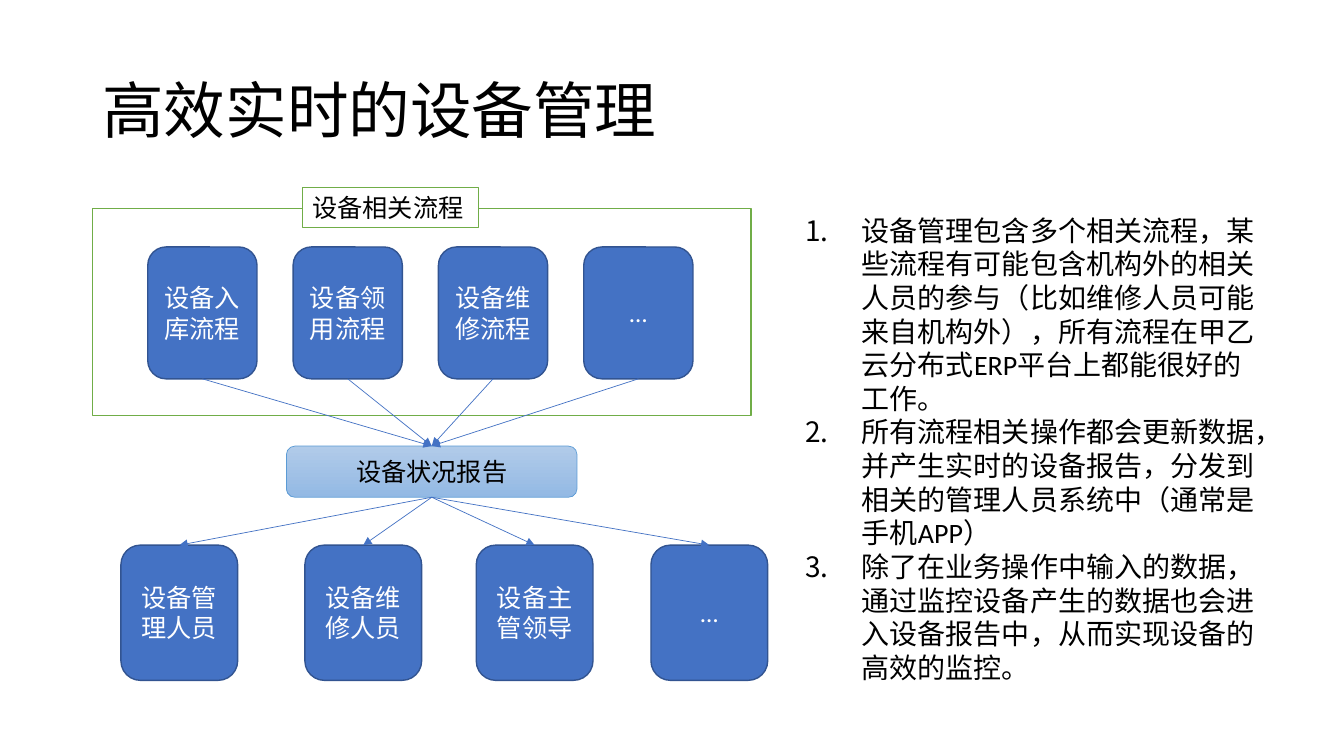
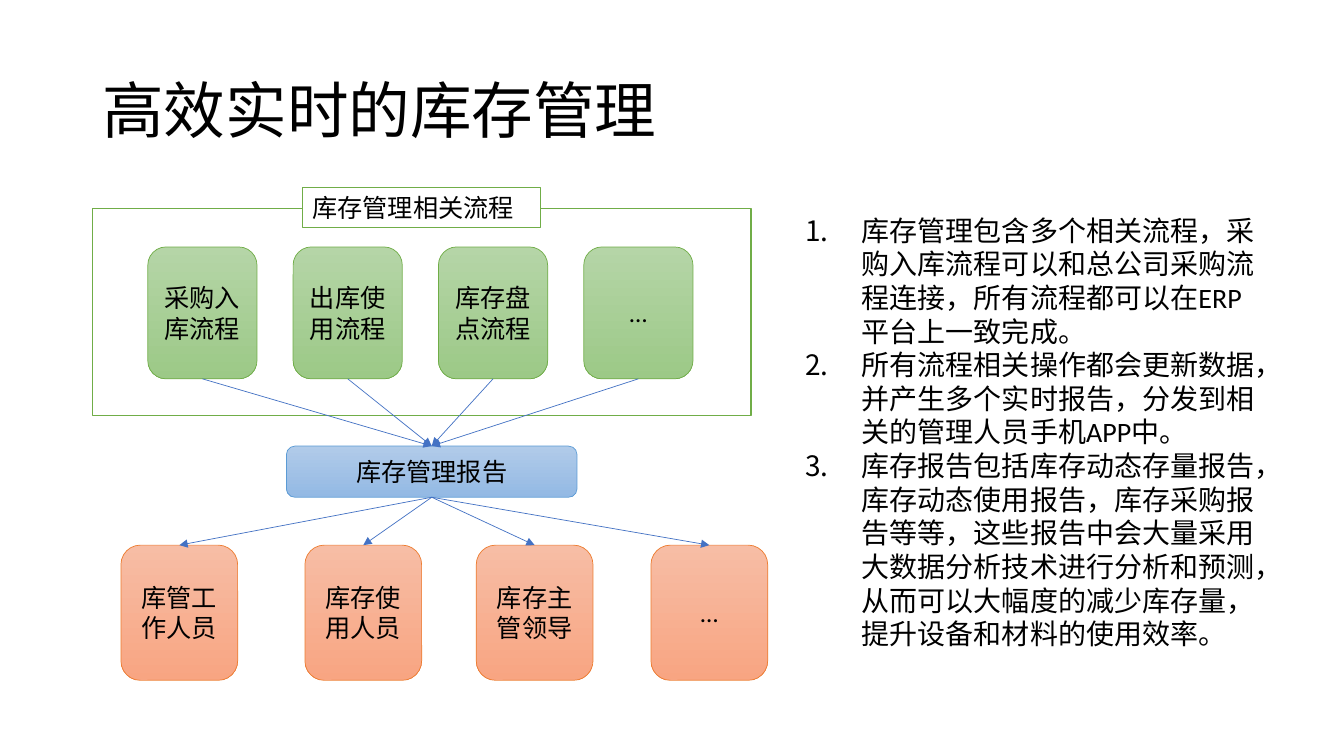
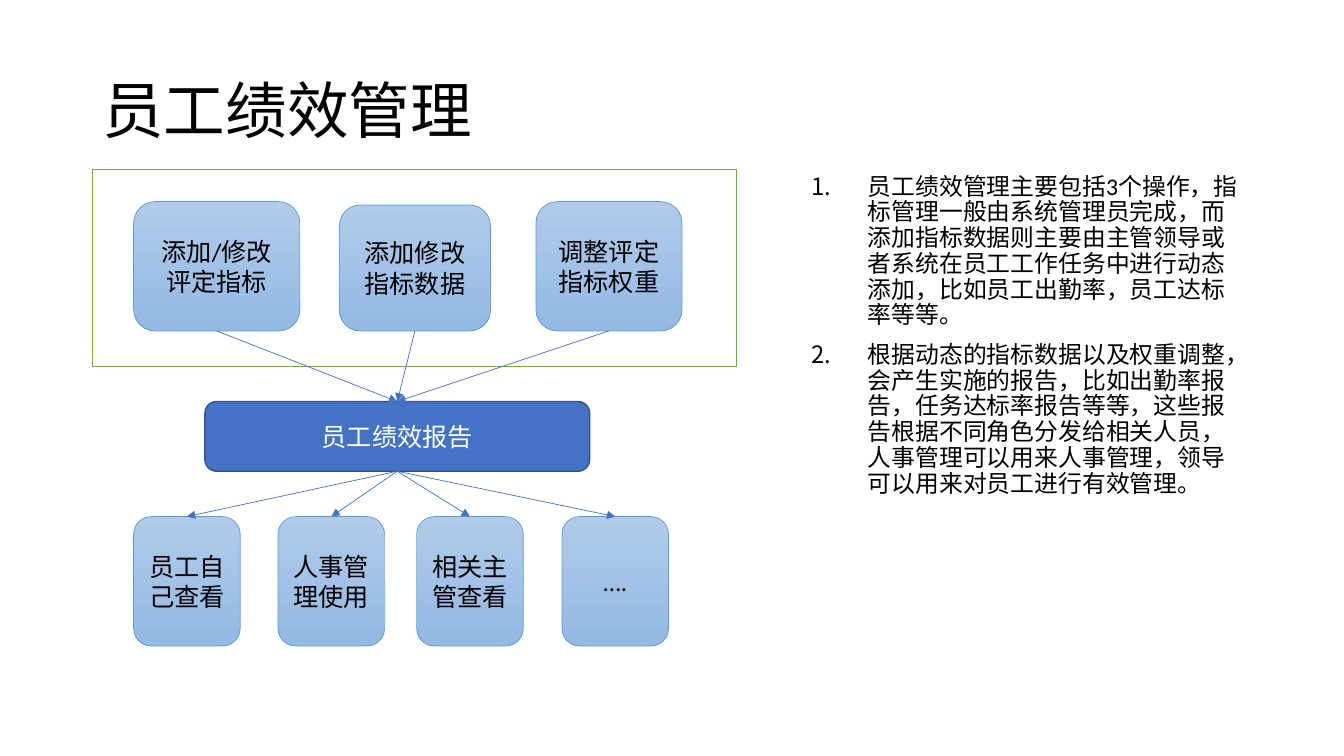
import dataclasses

import pptx
import pptx.dml.color
import pptx.enum.lang
import pptx.enum.shapes
import pptx.enum.text
import pptx.oxml.ns
import pptx.util
from lxml import etree

SHAPES = pptx.enum.shapes.MSO_SHAPE
ALIGN = pptx.enum.text.PP_ALIGN
ANCHOR = pptx.enum.text.MSO_ANCHOR

# Slide grid: 160 columns by 90 rows of square cells
CELL = pptx.util.Inches(7.5) / 90
COLUMNS, ROWS = 160, 90

# Node styles: fill colours (two make a gradient), line, line width, text
SOLID = (["4472C4"], "325491", 1, "FFFFFF")
BLUE = (["B1CBE9", "93B9E4"], "5B9BD5", 0.5, "000000")
GREEN = (["B5D5A7", "9CC987"], "70AD47", 0.5, "000000")
ORANGE = (["F7BDA5", "F8A582"], "ED7D31", 0.5, "000000")
FRAME = (["FFFFFF"], "70AD47", 1, "000000")
LABEL = (["FFFFFF"], "70AD47", 0.75, "000000")
ARROW_COLOUR = "4472C4"


@dataclasses.dataclass
class Box:
    left: float
    top: float
    width: float
    height: float

    def inside(self, left, top, width, height):
        return Box(self.left + left, self.top + top, width, height)

    def lengths(self):
        return [round(value * CELL) for value in dataclasses.astuple(self)]


def cells(count):
    return pptx.util.Emu(round(count * CELL))


def colour(value):
    return pptx.dml.color.RGBColor.from_string(value)


def apply(target, formats):
    for name, value in formats.items():
        setattr(target, name, value)


def add_run(paragraph, text, size, text_colour="000000"):
    run = paragraph.add_run()
    run.text = text
    apply(run.font, {
        "name": "Calibri",
        "size": pptx.util.Pt(size),
        "language_id": pptx.enum.lang.MSO_LANGUAGE_ID.SIMPLIFIED_CHINESE,
    })
    run.font.color.rgb = colour(text_colour)


def add_text_box(slide, box, anchor):
    frame = slide.shapes.add_textbox(*box.lengths()).text_frame
    apply(frame, {"word_wrap": True, "vertical_anchor": anchor})
    return frame


def add_title(slide, box, text):
    paragraph = add_text_box(slide, box, ANCHOR.MIDDLE).paragraphs[0]
    paragraph.line_spacing = 0.9
    add_run(paragraph, text, 44)


def add_numbered_list(slide, box, items, size, formats):
    frame = add_text_box(slide, box, ANCHOR.TOP)
    for index, item in enumerate(items):
        paragraph = frame.add_paragraph() if index else frame.paragraphs[0]
        apply(paragraph, formats)
        add_run(paragraph, item, size)
        # Hanging indent and automatic number
        properties = paragraph._p.get_or_add_pPr()
        indent = pptx.util.Inches(0.56)
        properties.set("marL", str(indent))
        properties.set("indent", str(-indent))
        number = etree.SubElement(properties, pptx.oxml.ns.qn("a:buAutoNum"))
        number.set("type", "arabicPeriod")


def add_block(slide, box, style, text="", kind=SHAPES.ROUNDED_RECTANGLE, align=ALIGN.CENTER):
    fills, line_colour, line_width, text_colour = style
    shape = slide.shapes.add_shape(kind, *box.lengths())
    shape.shadow.inherit = False
    if len(fills) == 1:
        shape.fill.solid()
        shape.fill.fore_color.rgb = colour(fills[0])
    else:
        shape.fill.gradient()
        shape.fill.gradient_angle = 270
        for stop, value in zip(shape.fill.gradient_stops, fills):
            stop.color.rgb = colour(value)
    shape.line.color.rgb = colour(line_colour)
    shape.line.width = pptx.util.Pt(line_width)
    if text:
        apply(shape.text_frame, {"word_wrap": True, "vertical_anchor": ANCHOR.MIDDLE})
        paragraph = shape.text_frame.paragraphs[0]
        paragraph.alignment = align
        add_run(paragraph, text, 18, text_colour)
    return shape


def add_arrow(slide, upper, lower):
    """Run from the bottom of the upper block to the top of the lower one."""
    arrow = slide.shapes.add_connector(pptx.enum.shapes.MSO_CONNECTOR.STRAIGHT, 0, 0, 0, 0)
    arrow.begin_connect(upper, 2)
    arrow.end_connect(lower, 0)
    arrow.line.color.rgb = colour(ARROW_COLOUR)
    arrow.line.width = pptx.util.Pt(0.5)
    tail = etree.SubElement(arrow.line._get_or_add_ln(), pptx.oxml.ns.qn("a:tailEnd"))
    tail.set("type", "triangle")
    etree.SubElement(arrow._element.spPr, pptx.oxml.ns.qn("a:effectLst"))


def add_flow(slide, box, layout, content):
    """Framed processes feed one report, which goes out to several readers."""
    add_block(slide, box.inside(0, 0, box.width, layout["frame_height"]), FRAME,
              kind=SHAPES.RECTANGLE)
    process_style, report_style, reader_style = content["styles"]
    processes = [add_block(slide, box.inside(*place), process_style, text)
                 for place, text in zip(layout["processes"], content["processes"])]
    # Label astride the top edge of the frame
    if "label" in content:
        text, width = content["label"]
        add_block(slide, box.inside(25, -2.5, width, 4.8), LABEL, text,
                  SHAPES.RECTANGLE, ALIGN.LEFT)
    report = add_block(slide, box.inside(*layout["report"]), report_style, content["report"])
    reader_top, reader_width = layout["reader_top"], layout["reader_width"]
    readers = [add_block(slide, box.inside(left, reader_top, reader_width,
                                           box.height - reader_top), reader_style, text)
               for left, text in zip(layout["reader_lefts"], content["readers"])]
    for process in processes:
        add_arrow(slide, process, report)
    for reader in readers:
        add_arrow(slide, report, reader)


# Layouts in grid cells, measured from the corner of the diagram
FOUR_PROCESSES = {
    "box": Box(11, 24.8, 78.4, 56.2),
    "frame_height": 24.7,
    "processes": [(6.6 + 17.3 * index, 4.6, 13, 15.7) for index in range(4)],
    "report": (23.1, 28.3, 34.6, 6.1),
    "reader_lefts": (3.4, 25.3, 45.7, 66.5),
    "reader_top": 40.1,
    "reader_width": 13.9,
    "list_box": Box(94.7, 24.8, 56.2, 61.8),
    "list_size": 20,
    "list_format": {},
}
THREE_PROCESSES = {
    "box": Box(11, 20.2, 76.7, 56.7),
    "frame_height": 23.4,
    "processes": [(4.9, 3.8, 19.8, 15.4), (29.4, 4.2, 18, 15), (52.8, 3.8, 17.4, 15.4)],
    "report": (13.4, 27.6, 45.8, 8.3),
    "reader_lefts": (4.9, 22.1, 38.6, 55.9),
    "reader_top": 41.3,
    "reader_width": 12.7,
    "list_box": Box(95.4, 20.2, 53.6, 61),
    "list_size": 17,
    "list_format": {"line_spacing": 0.9, "space_before": pptx.util.Pt(10)},
}

PAGES = [
    {
        "title": "高效实时的设备管理",
        "layout": FOUR_PROCESSES,
        "styles": (SOLID, BLUE, SOLID),
        "label": ("设备相关流程", 21),
        "processes": ["设备入库流程", "设备领用流程", "设备维修流程", "…"],
        "report": "设备状况报告",
        "readers": ["设备管理人员", "设备维修人员", "设备主管领导", "…"],
        "list": [
            "设备管理包含多个相关流程，某些流程有可能包含机构外的相关人员的参与"
            "（比如维修人员可能来自机构外），所有流程在甲乙云分布式ERP平台上都能很好的工作。",
            "所有流程相关操作都会更新数据，并产生实时的设备报告，"
            "分发到相关的管理人员系统中（通常是手机APP）",
            "除了在业务操作中输入的数据，通过监控设备产生的数据也会进入设备报告中，"
            "从而实现设备的高效的监控。",
        ],
    },
    {
        "title": "高效实时的库存管理",
        "layout": FOUR_PROCESSES,
        "styles": (GREEN, BLUE, ORANGE),
        "label": ("库存管理相关流程", 28.3),
        "processes": ["采购入库流程", "出库使用流程", "库存盘点流程", "…"],
        "report": "库存管理报告",
        "readers": ["库管工作人员", "库存使用人员", "库存主管领导", "…"],
        "list": [
            "库存管理包含多个相关流程，采购入库流程可以和总公司采购流程连接，"
            "所有流程都可以在ERP平台上一致完成。",
            "所有流程相关操作都会更新数据，并产生多个实时报告，"
            "分发到相关的管理人员手机APP中。",
            "库存报告包括库存动态存量报告，库存动态使用报告，库存采购报告等等，"
            "这些报告中会大量采用大数据分析技术进行分析和预测，"
            "从而可以大幅度的减少库存量，提升设备和材料的使用效率。",
        ],
    },
    {
        "title": "员工绩效管理",
        "layout": THREE_PROCESSES,
        "styles": (BLUE, SOLID, BLUE),
        "processes": ["添加/修改评定指标", "添加修改指标数据", "调整评定指标权重"],
        "report": "员工绩效报告",
        "readers": ["员工自己查看", "人事管理使用", "相关主管查看", "…."],
        "list": [
            "员工绩效管理主要包括3个操作，指标管理一般由系统管理员完成，"
            "而添加指标数据则主要由主管领导或者系统在员工工作任务中进行动态添加，"
            "比如员工出勤率，员工达标率等等。",
            "根据动态的指标数据以及权重调整，会产生实施的报告，比如出勤率报告，"
            "任务达标率报告等等，这些报告根据不同角色分发给相关人员，"
            "人事管理可以用来人事管理，领导可以用来对员工进行有效管理。",
        ],
    },
]

presentation = pptx.Presentation()
apply(presentation, {"slide_width": cells(COLUMNS), "slide_height": cells(ROWS)})
for page in PAGES:
    slide = presentation.slides.add_slide(presentation.slide_layouts[6])
    layout = page["layout"]
    add_title(slide, Box(11, 4.8, 138, 17.4), page["title"])
    add_flow(slide, layout["box"], layout, page)
    add_numbered_list(slide, layout["list_box"], page["list"],
                      layout["list_size"], layout["list_format"])
presentation.save("out.pptx")
